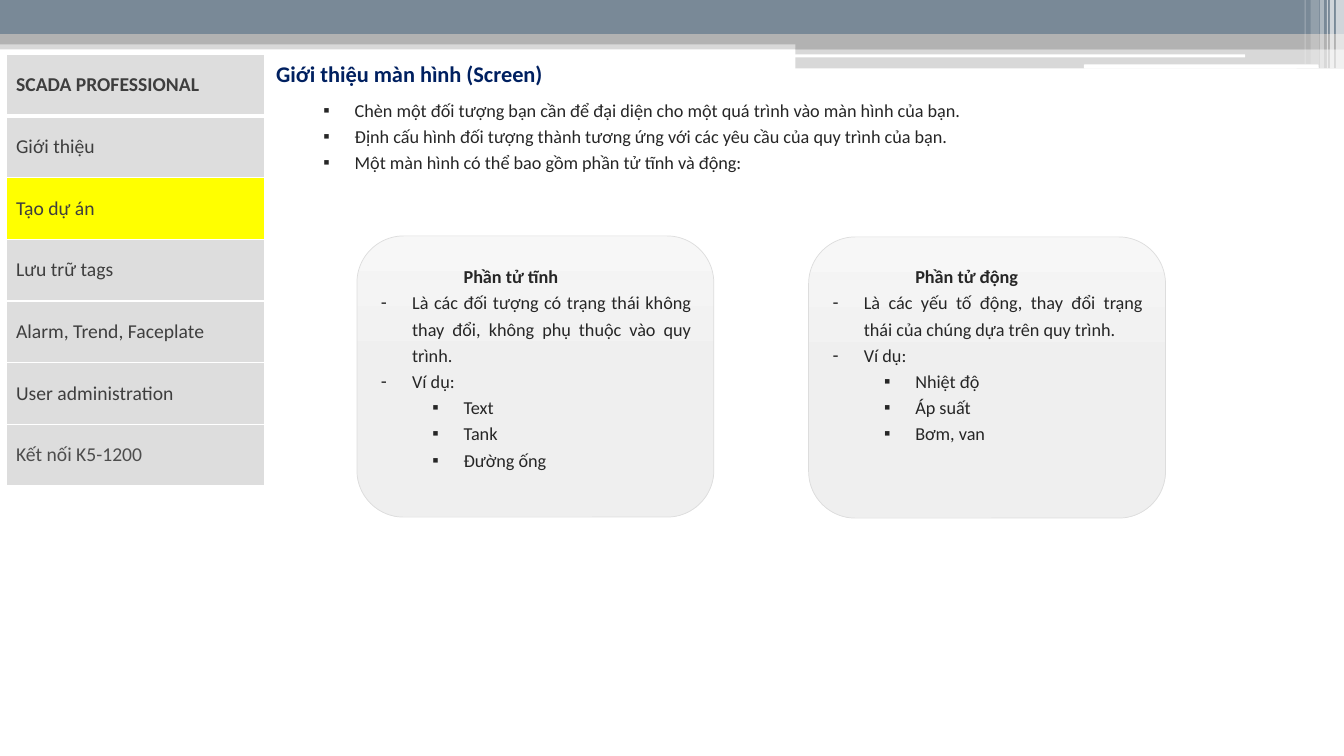
"""Build the slide that introduces screens and their static and dynamic elements."""
import copy

import lxml.etree
import pptx
import pptx.dml.color
import pptx.enum.shapes
import pptx.enum.text
import pptx.oxml.ns
import pptx.util

Inches = pptx.util.Inches
Pt = pptx.util.Pt
RGBColor = pptx.dml.color.RGBColor
Shape = pptx.enum.shapes.MSO_SHAPE
Align = pptx.enum.text.PP_ALIGN
qn = pptx.oxml.ns.qn

WHITE = RGBColor(0xFF, 0xFF, 0xFF)
SLATE = RGBColor(0x79, 0x89, 0x97)
GRAY = RGBColor(0xB2, 0xB2, 0xB2)
PALE = RGBColor(0xDD, 0xDD, 0xDD)
YELLOW = RGBColor(0xFF, 0xFF, 0x00)
NAVY = RGBColor(0x00, 0x20, 0x60)
INK = RGBColor(0x26, 0x26, 0x26)
MENU_INK = RGBColor(0x3E, 0x3E, 0x3E)
LAST_MENU_INK = RGBColor(0x4D, 0x4D, 0x4D)
CARD_GRADIENT = [
    (0, RGBColor(0xF7, 0xF7, 0xF7)),
    (0.5, RGBColor(0xEF, 0xEF, 0xEF)),
    (1, RGBColor(0xED, 0xED, 0xED)),
]

TITLE = "Giới thiệu màn hình (Screen)"
INTRODUCTION = [
    "Chèn một đối tượng bạn cần để đại diện cho một quá trình vào màn hình của bạn.",
    "Định cấu hình đối tượng thành tương ứng với các yêu cầu của quy trình của bạn.",
    "Một màn hình có thể bao gồm phần tử tĩnh và động:",
]
MENU = [
    "SCADA PROFESSIONAL",
    "Giới thiệu",
    "Tạo dự án",
    "Lưu trữ tags",
    "Alarm, Trend, Faceplate",
    "User administration",
    "Kết nối K5-1200",
]
CURRENT_ITEM = "Tạo dự án"
CARDS = [
    {
        "at": (3.54, 2.34),
        "heading": "Phần tử tĩnh",
        "points": [
            "Là các đối tượng có trạng thái không thay đổi, không phụ thuộc vào quy trình.",
            "Ví dụ:",
        ],
        "examples": ["Text", "Tank", "Đường ống"],
    },
    {
        "at": (8.02, 2.35),
        "heading": "Phần tử động",
        "points": [
            "Là các yếu tố động, thay đổi trạng thái của chúng dựa trên quy trình.",
            "Ví dụ:",
        ],
        "examples": ["Nhiệt độ", "Áp suất", "Bơm, van"],
    },
]
CARD_WIDTH, CARD_HEIGHT = 3.54, 2.79
CARD_TEXT_TOP = 2.54
BANNER = [
    (Shape.RECTANGLE, 0, 0.4, 13.33, 0.09, GRAY, 50),
    (Shape.RECTANGLE, 0, 0, 13.33, 0.34, SLATE, 100),
    (Shape.RECTANGLE, 0, 0.34, 13.33, 0.1, GRAY, 100),
    (Shape.RECTANGLE, 7.89, 0.39, 5.44, 0.1, GRAY, 100),
    (Shape.RECTANGLE, 7.89, 0.48, 5.44, 0.2, GRAY, 50),
    (Shape.ROUNDED_RECTANGLE, 7.88, 0.54, 4.47, 0.03, WHITE, 100),
    (Shape.ROUNDED_RECTANGLE, 10.75, 0.64, 2.33, 0.04, WHITE, 100),
    (Shape.RECTANGLE, 13.25, 0, 0.08, 0.68, WHITE, 65),
    (Shape.RECTANGLE, 13.19, 0, 0.04, 0.68, WHITE, 65),
    (Shape.RECTANGLE, 13.16, 0, 0.01, 0.68, WHITE, 60),
    (Shape.RECTANGLE, 13.09, 0, 0.04, 0.68, WHITE, 40),
    (Shape.RECTANGLE, 13, 0, 0.08, 0.64, WHITE, 20),
    (Shape.RECTANGLE, 12.94, 0, 0.01, 0.64, WHITE, 30),
]


def write_text(frame, text, size=13, color=INK, bold=False, align=Align.JUSTIFY,
               left=0, indent=0, spacing=1.2, bullet=None):
    paragraph = frame.paragraphs[0]
    if paragraph.runs:
        paragraph = frame.add_paragraph()
    paragraph.alignment = align
    paragraph.line_spacing = spacing
    run = paragraph.add_run()
    run.text = text
    run.font.name = "Calibri"
    run.font.size = Pt(size)
    run.font.bold = bold
    run.font.color.rgb = color
    properties = paragraph._p.get_or_add_pPr()
    properties.set("marL", str(Inches(left)))
    properties.set("indent", str(Inches(indent)))
    if bullet:
        lxml.etree.SubElement(properties, qn("a:buFont"), typeface="Arial")
        lxml.etree.SubElement(properties, qn("a:buChar"), char=bullet)


def add_text_frame(slide, left, top, width, height):
    frame = slide.shapes.add_textbox(*map(Inches, (left, top, width, height))).text_frame
    frame.word_wrap = True
    return frame


def add_banner(slide):
    for kind, left, top, width, height, color, opacity in BANNER:
        shape = slide.shapes.add_shape(kind, *map(Inches, (left, top, width, height)))
        shape.shadow.inherit = False
        shape.line.fill.background()
        shape.fill.solid()
        shape.fill.fore_color.rgb = color
        if opacity < 100:
            color_element = shape._element.spPr.find(".//" + qn("a:srgbClr"))
            lxml.etree.SubElement(color_element, qn("a:alpha"), val=str(opacity * 1000))


def add_card(slide, card):
    left, top = card["at"]
    shape = slide.shapes.add_shape(
        Shape.ROUNDED_RECTANGLE, *map(Inches, (left, top, CARD_WIDTH, CARD_HEIGHT)))
    shape.shadow.inherit = False
    shape.line.color.rgb = PALE
    shape.line.width = Pt(0.5)
    shape.fill.gradient()
    shape.fill.gradient_angle = 270
    stop_list = shape._element.spPr.find(".//" + qn("a:gsLst"))
    stop_list.insert(1, copy.deepcopy(stop_list[0]))
    for stop, (position, color) in zip(shape.fill.gradient_stops, CARD_GRADIENT):
        stop.position = position
        stop.color.rgb = color

    frame = add_text_frame(slide, left + 0.14, CARD_TEXT_TOP, 3.27, 2.18)
    write_text(frame, card["heading"], bold=True, left=0.82)
    for point in card["points"]:
        write_text(frame, point, left=0.31, indent=-0.31, bullet="-")
    for example in card["examples"]:
        write_text(frame, example, left=0.82, indent=-0.31, bullet="▪")


def set_borders(cell, bottom_width):
    properties = cell._tc.get_or_add_tcPr()
    for side, width in (("L", 1), ("R", 1), ("T", 1), ("B", bottom_width)):
        line = lxml.etree.SubElement(properties, qn("a:ln" + side), w=str(Pt(width)))
        fill = lxml.etree.SubElement(line, qn("a:solidFill"))
        lxml.etree.SubElement(fill, qn("a:srgbClr"), val=str(WHITE))


def add_menu(slide):
    table = slide.shapes.add_table(
        len(MENU), 1, *map(Inches, (0.06, 0.54, 2.56, 4.28))).table
    for index, item in enumerate(MENU):
        cell = table.cell(index, 0)
        is_header = index == 0
        is_last = index == len(MENU) - 1
        set_borders(cell, 3 if is_header else 1)
        cell.fill.solid()
        cell.fill.fore_color.rgb = YELLOW if item == CURRENT_ITEM else PALE
        cell.vertical_anchor = pptx.enum.text.MSO_ANCHOR.MIDDLE
        write_text(cell.text_frame, item, size=14, bold=is_header, align=Align.LEFT,
                   color=LAST_MENU_INK if is_last else MENU_INK, spacing=1.0)


def main():
    presentation = pptx.Presentation()
    presentation.slide_width = Inches(13.33)
    presentation.slide_height = Inches(7.5)
    slide = presentation.slides.add_slide(presentation.slide_layouts[6])
    add_banner(slide)
    title_frame = add_text_frame(slide, 2.27, 0.49, 5.66, 0.4)
    write_text(title_frame, TITLE, size=16, color=NAVY, bold=True, align=Align.LEFT,
               left=0.75, indent=-0.38)
    introduction_frame = add_text_frame(slide, 2.6, 0.89, 9.73, 0.87)
    for sentence in INTRODUCTION:
        write_text(introduction_frame, sentence, left=0.82, indent=-0.31, bullet="▪")
    for card in CARDS:
        add_card(slide, card)
    add_menu(slide)
    presentation.save("out.pptx")


if __name__ == "__main__":
    main()
